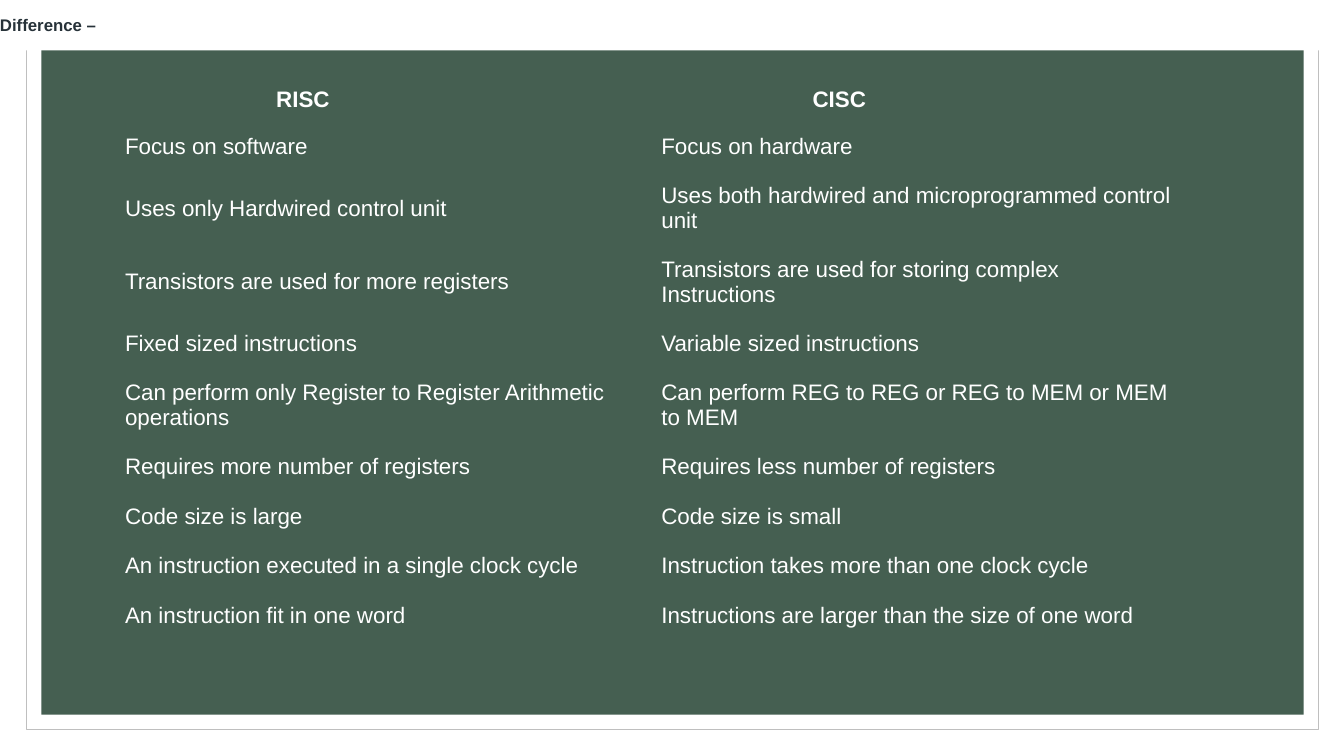
from dataclasses import dataclass

from pptx import Presentation
from pptx.dml.color import RGBColor
from pptx.enum.shapes import MSO_SHAPE
from pptx.enum.text import MSO_ANCHOR, PP_ALIGN
from pptx.util import Inches, Pt


@dataclass(frozen=True)
class Theme:
    font: str = "Arial"
    white: str = "FFFFFF"
    green: str = "455F51"
    border: str = "BFBFBF"
    ink: str = "273239"
    title_size: int = 12
    table_size: int = 16


THEME = Theme()
WIDTH, HEIGHT = 13.33, 7.5
NO_GRID_STYLE = "{2D5ABB26-0587-4C30-8999-92F81FD0307C}"

COMPARISON = [
    ("RISC", "CISC"),
    ("Focus on software", "Focus on hardware"),
    ("Uses only Hardwired control unit",
     "Uses both hardwired and microprogrammed control unit"),
    ("Transistors are used for more registers",
     "Transistors are used for storing complex\nInstructions"),
    ("Fixed sized instructions", "Variable sized instructions"),
    ("Can perform only Register to Register Arithmetic operations",
     "Can perform REG to REG or REG to MEM or MEM to MEM"),
    ("Requires more number of registers", "Requires less number of registers"),
    ("Code size is large", "Code size is small"),
    ("An instruction executed in a single clock cycle",
     "Instruction takes more than one clock cycle"),
    ("An instruction fit in one word",
     "Instructions are larger than the size of one word"),
]
HEADER_HEIGHT, ROW_HEIGHT, TALL_ROW_HEIGHT = 0.44, 0.49, 0.7
TALL_ROW = 3


def add_panel(page, left, top, width, height, fill, line=None):
    panel = page.shapes.add_shape(
        MSO_SHAPE.RECTANGLE, *map(Inches, (left, top, width, height)))
    panel.shadow.inherit = False
    panel.fill.solid()
    panel.fill.fore_color.rgb = RGBColor.from_string(fill)
    if line:
        panel.line.color.rgb = RGBColor.from_string(line)
        panel.line.width = Pt(0.5)
    else:
        panel.line.fill.background()
    return panel


def set_margins(target, side, end):
    target.margin_left = target.margin_right = Inches(side)
    target.margin_top = target.margin_bottom = Inches(end)


def write(para, text, size, color, bold):
    for number, line in enumerate(text.split("\n")):
        if number:
            para.add_line_break()
        para.add_run().text = line
    para.alignment = PP_ALIGN.LEFT
    para.font.name = THEME.font
    para.font.size = Pt(size)
    para.font.bold = bold
    para.font.color.rgb = RGBColor.from_string(color)


def add_title(page, text):
    box = add_panel(page, 0, 0, WIDTH, 0.5, THEME.white)
    frame = box.text_frame
    frame.word_wrap = True
    frame.vertical_anchor = MSO_ANCHOR.MIDDLE
    set_margins(frame, 0, 0)
    write(frame.paragraphs[0], text, THEME.title_size, THEME.ink, True)


def fill_cell(cell, text, is_header):
    cell.fill.background()
    cell.vertical_anchor = MSO_ANCHOR.MIDDLE
    set_margins(cell, 0.09, 0.09 if is_header else 0.12)
    para = cell.text_frame.paragraphs[0]
    if is_header:
        para.level = 3
        properties = para._p.get_or_add_pPr()
        properties.set("marL", str(Inches(1.5)))
        properties.set("indent", "0")
    write(para, text, THEME.table_size, THEME.white, is_header)


def add_comparison(page, rows, left, top, width, height):
    holder = page.shapes.add_table(
        len(rows), len(rows[0]), *map(Inches, (left, top, width, height)))
    table = holder.table
    table.first_row = table.horz_banding = False
    table._tbl.tblPr.find("{*}tableStyleId").text = NO_GRID_STYLE
    heights = {0: HEADER_HEIGHT, TALL_ROW: TALL_ROW_HEIGHT}
    for row_number, texts in enumerate(rows):
        row = table.rows[row_number]
        row.height = Inches(heights.get(row_number, ROW_HEIGHT))
        for cell, text in zip(row.cells, texts):
            fill_cell(cell, text, row_number == 0)
    holder.height = Inches(height)


def main():
    deck = Presentation()
    deck.slide_width, deck.slide_height = Inches(WIDTH), Inches(HEIGHT)
    page = deck.slides.add_slide(deck.slide_layouts[6])

    # Framed green background
    add_panel(page, 0.26, 0.26, 12.82, 6.98, THEME.white, THEME.border)
    add_panel(page, 0.41, 0.41, 12.52, 6.68, THEME.green)

    # Comparison table and the title strip over the frame
    add_comparison(page, COMPARISON, 1.15, 0.77, 10.64, 5.83)
    add_title(page, "Difference –")

    deck.save("out.pptx")


if __name__ == "__main__":
    main()
